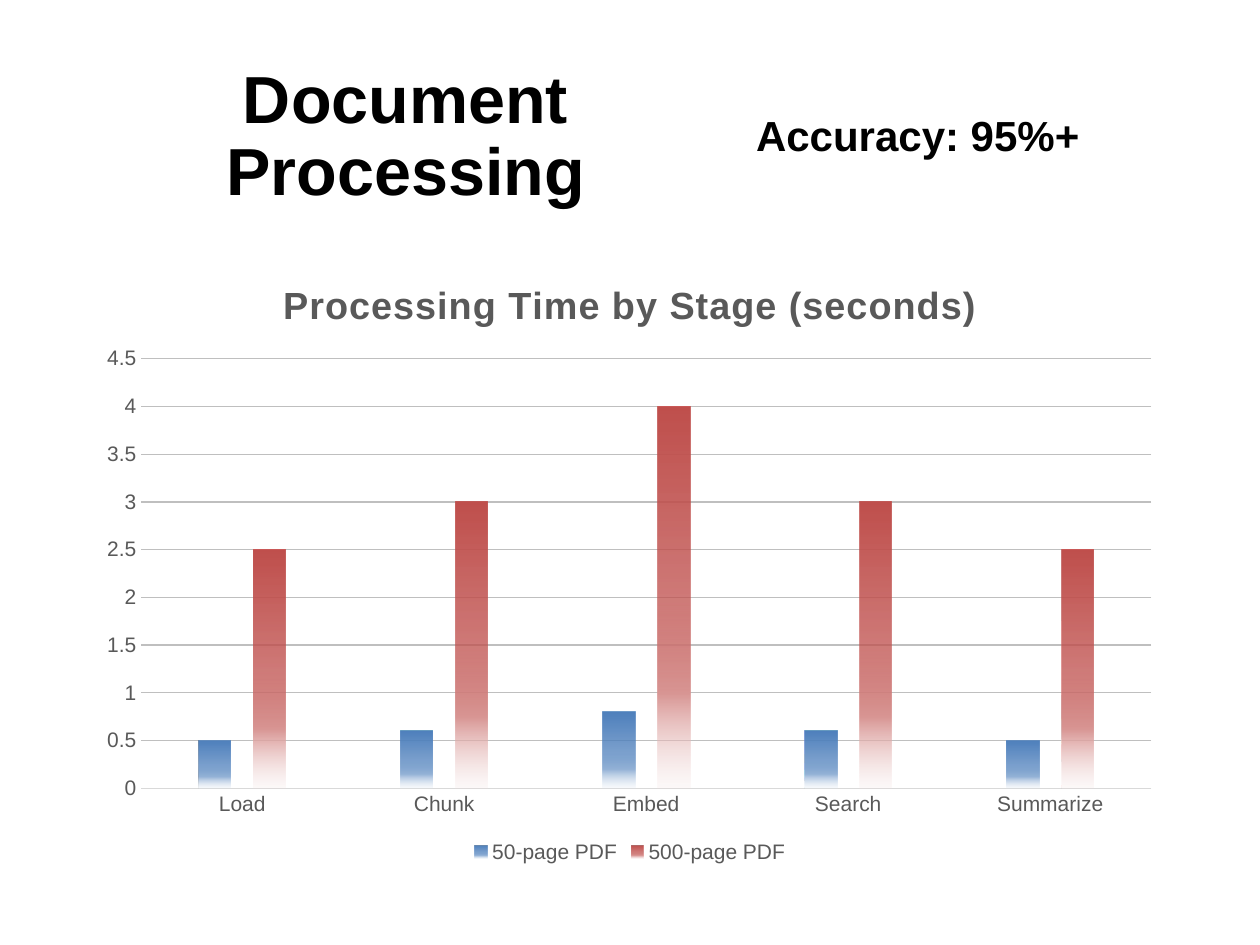
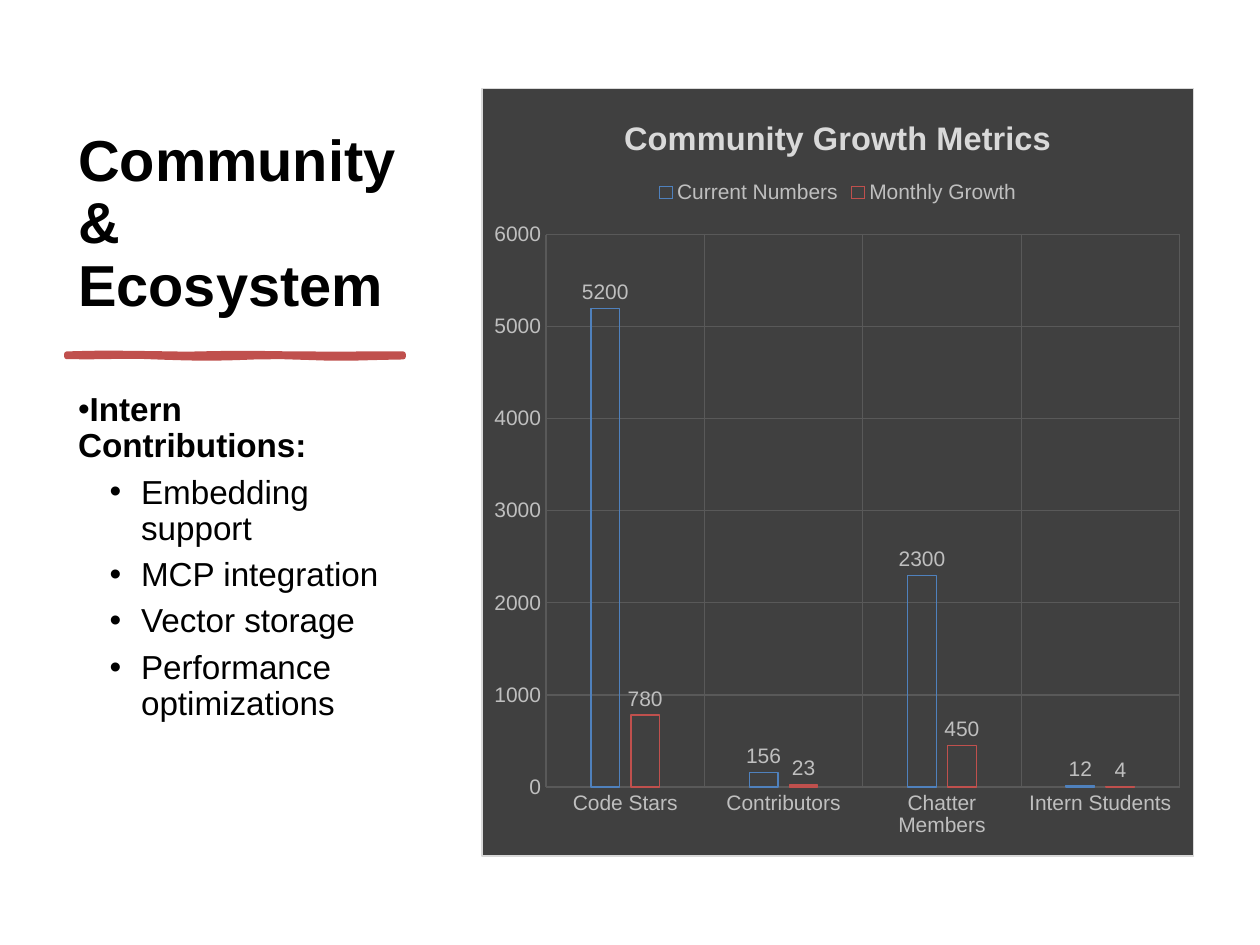
from lxml import etree
from pptx import Presentation
from pptx.chart.data import CategoryChartData
from pptx.dml.color import RGBColor
from pptx.enum.chart import XL_CHART_TYPE, XL_LABEL_POSITION, XL_LEGEND_POSITION, XL_TICK_MARK
from pptx.enum.text import MSO_ANCHOR, MSO_AUTO_SIZE, PP_ALIGN
from pptx.oxml import parse_xml
from pptx.oxml.ns import nsdecls, qn
from pptx.util import Pt

COLUMNS = XL_CHART_TYPE.COLUMN_CLUSTERED
OUTSIDE_END = XL_LABEL_POSITION.OUTSIDE_END
LEGEND_TOP, LEGEND_BOTTOM = XL_LEGEND_POSITION.TOP, XL_LEGEND_POSITION.BOTTOM
NO_TICK = XL_TICK_MARK.NONE
TOP, MIDDLE, BOTTOM = MSO_ANCHOR.TOP, MSO_ANCHOR.MIDDLE, MSO_ANCHOR.BOTTOM
LEFT, CENTER = PP_ALIGN.LEFT, PP_ALIGN.CENTER

PX = 9144  # 100 px to the inch
FONT = "Arial"
BLACK, WHITE, BLUE, RED = "000000", "FFFFFF", "4F81BD", "C0504D"
DARK, GREY, SILVER, PALE = "404040", "595959", "BFBFBF", "D9D9D9"


def rgb(color):
    return RGBColor.from_string(color)


def px(*lengths):
    return [n * PX for n in lengths]


def format_font(font, size, color=BLACK, bold=False):
    font.name, font.size, font.bold = FONT, Pt(size), bold
    font.color.rgb = rgb(color)


def write(tf, text, size, color=BLACK, bold=False, align=LEFT, after=0,
          bullet=None, margin=0, indent=0, level=0, first=True):
    """Put one formatted paragraph into a text frame."""
    p = tf.paragraphs[0] if first else tf.add_paragraph()
    p.level, p.alignment = level, align
    p.line_spacing, p.space_before, p.space_after = 0.9, Pt(0), Pt(after)
    pPr = p._p.get_or_add_pPr()
    pPr.set("marL", str(margin * PX))
    pPr.set("indent", str(indent * PX))
    if bullet:
        etree.SubElement(pPr, qn("a:buFont")).set("typeface", FONT)
        etree.SubElement(pPr, qn("a:buChar")).set("char", bullet)
    else:
        etree.SubElement(pPr, qn("a:buNone"))
    r = p.add_run()
    r.text = text
    format_font(r.font, size, color, bold)
    return r


def place(s, holder, box, anchor):
    """Move a placeholder to its box and return its text frame."""
    sp = s.placeholders[holder]
    sp.left, sp.top, sp.width, sp.height = px(*box)
    tf = sp.text_frame
    tf.word_wrap, tf.auto_size, tf.vertical_anchor = True, MSO_AUTO_SIZE.NONE, anchor
    return tf


def new_slide(prs):
    s = prs.slides.add_slide(prs.slide_layouts[1])
    s.background.fill.solid()
    s.background.fill.fore_color.rgb = rgb(WHITE)
    return s


def set_line(line, color):
    if color:
        line.color.rgb = rgb(color)
        line.width = Pt(0.75)
    else:
        line.fill.background()


def style_axis(axis, color, line=None, grid=None):
    axis.major_tick_mark = axis.minor_tick_mark = NO_TICK
    format_font(axis.tick_labels.font, 12, color)
    set_line(axis.format.line, line)
    axis.has_major_gridlines = bool(grid)
    if grid:
        set_line(axis.major_gridlines.format.line, grid)


def set_plot_box(chart, box):
    """Fix the inner plot area, as fractions of the chart."""
    area = chart.element.find(".//" + qn("c:plotArea"))
    for old in area.findall(qn("c:layout")):
        area.remove(old)
    sizes = "".join(f'<c:{k} val="{v}"/>' for k, v in zip("xywh", box))
    area.insert(0, parse_xml(
        f'<c:layout {nsdecls("c")}><c:manualLayout><c:layoutTarget val="inner"/>'
        f'<c:xMode val="edge"/><c:yMode val="edge"/>{sizes}</c:manualLayout></c:layout>'))


def column_chart(s, box, title, title_size, title_color, text_color, cats, series,
                 gap, overlap, top, step, legend, plot_box):
    """Add a clustered column chart with its title, legend and value scale."""
    data = CategoryChartData()
    data.categories = cats
    for name, values in series:
        data.add_series(name, values)
    chart = s.shapes.add_chart(COLUMNS, *px(*box), data).chart
    format_font(chart.font, 10)
    chart.has_title = True
    title_run = write(chart.chart_title.text_frame, title, title_size, title_color,
                      bold=True, align=CENTER)
    chart.has_legend = True
    chart.legend.position, chart.legend.include_in_layout = legend, False
    format_font(chart.legend.font, 12, text_color)
    plot = chart.plots[0]
    plot.gap_width, plot.overlap, plot.vary_by_categories = gap, overlap, False
    chart.value_axis.minimum_scale, chart.value_axis.maximum_scale = 0, top
    chart.value_axis.major_unit = step
    set_plot_box(chart, plot_box)
    return chart, title_run


def fade(series, color, light, pale):
    """Fill a series with a gradient that fades towards the axis."""
    stops = [(0, color, 100), (51, color, 75), (75, light, 100), (100, pale, 15)]
    gs = "".join(
        f'<a:gs pos="{pos * 1000}"><a:srgbClr val="{c}"><a:alpha val="{alpha * 1000}"/>'
        "</a:srgbClr></a:gs>" for pos, c, alpha in stops)
    series.format.fill.solid()
    solid = series.format.fill._xPr.find(qn("a:solidFill"))
    solid.getparent().replace(solid, parse_xml(
        f'<a:gradFill {nsdecls("a")}><a:gsLst>{gs}</a:gsLst>'
        '<a:lin ang="5400000" scaled="0"/></a:gradFill>'))


def chart_area(chart, fill, border):
    """Give the whole chart a fill and a border."""
    chart.element.find(qn("c:txPr")).addprevious(parse_xml(
        f'<c:spPr {nsdecls("c", "a")}><a:solidFill><a:srgbClr val="{fill}"/></a:solidFill>'
        f'<a:ln w="{Pt(0.75)}"><a:solidFill><a:srgbClr val="{border}"/></a:solidFill>'
        '</a:ln></c:spPr>'))


def brush_line(s, box, color):
    """Draw a wavy hand-made rule; the edges are offsets in thousandths of an inch."""
    left, top, width = box
    upper = [10, 5, 4, 6, 9, 12, 8, 5, 6, 9, 10, 12, 11, 9, 10]
    lower = [30, 31, 28, 27, 34, 40, 42, 38, 31, 30, 36, 42, 41, 36, 32]
    step = width * 10 / (len(upper) - 1)
    edge = [(left * 10 + i * step, top * 10 + y) for i, y in enumerate(upper)]
    edge += [(left * 10 + i * step, top * 10 + y) for i, y in enumerate(lower)][::-1]
    builder = s.shapes.build_freeform(*edge[0], scale=PX / 10)
    builder.add_line_segments(edge[1:], close=True)
    sp = builder.convert_to_shape()
    sp.shadow.inherit = False
    sp.fill.solid()
    sp.fill.fore_color.rgb = rgb(color)
    sp.line.color.rgb = rgb(color)
    sp.line.width = Pt(3)


def processing_slide(prs):
    s = new_slide(prs)
    # Heading and key figure
    write(place(s, 0, (69, 38, 506, 143), MIDDLE), "Document Processing", 38,
          bold=True, align=CENTER, after=6)
    write(place(s, 1, (590, 38, 341, 143), MIDDLE), "Accuracy: 95%+", 24, bold=True)
    # Time per stage
    chart, title_run = column_chart(
        s, (69, 202, 862, 487), "Processing Time by Stage (seconds)", 21.6, GREY, GREY,
        ["Load", "Chunk", "Embed", "Search", "Summarize"],
        [("50-page PDF", (0.5, 0.6, 0.8, 0.6, 0.5)), ("500-page PDF", (2.5, 3, 4, 3, 2.5))],
        gap=355, overlap=-70, top=4.5, step=0.5, legend=LEGEND_BOTTOM,
        plot_box=(0.05, 0.17, 0.93, 0.7))
    title_run.font._element.set("spc", "50")
    style_axis(chart.category_axis, GREY, line=PALE)
    style_axis(chart.value_axis, GREY, grid=SILVER)
    blue, red = chart.plots[0].series
    fade(blue, BLUE, "95B3D7", "DCE6F2")
    fade(red, RED, "D99694", "F2DCDB")


def community_slide(prs):
    s = new_slide(prs)
    # Heading with its rule
    write(place(s, 0, (52, 70, 281, 188), BOTTOM), "Community & Ecosystem", 33,
          bold=True, after=6)
    brush_line(s, (53, 280, 267), RED)
    # Contributions
    tf = place(s, 1, (52, 307, 281, 373), TOP)
    write(tf, "Intern Contributions:", 19, bold=True, after=6, bullet="•", indent=-25)
    for text in ("Embedding support", "MCP integration", "Vector storage",
                 "Performance optimizations"):
        write(tf, text, 19, after=6, bullet="•", margin=50, indent=-25, level=1, first=False)
    # Growth figures
    chart, _ = column_chart(
        s, (382, 70, 566, 610), "Community Growth Metrics", 18.6, PALE, SILVER,
        ["Code Stars", "Contributors", "Chatter Members", "Intern Students"],
        [("Current Numbers", (5200, 156, 2300, 12)), ("Monthly Growth", (780, 23, 450, 4))],
        gap=315, overlap=-40, top=6000, step=1000, legend=LEGEND_TOP,
        plot_box=(0.09, 0.19, 0.89, 0.72))
    chart_area(chart, DARK, PALE)
    for axis in (chart.category_axis, chart.value_axis):
        style_axis(axis, SILVER, grid=GREY)
    plot = chart.plots[0]
    plot.has_data_labels = True
    plot.data_labels.show_value, plot.data_labels.position = True, OUTSIDE_END
    format_font(plot.data_labels.font, 12, SILVER)
    for series, color in zip(plot.series, (BLUE, RED)):
        series.format.fill.background()
        set_line(series.format.line, color)


def main():
    prs = Presentation()
    prs.slide_width, prs.slide_height = px(1000, 750)
    processing_slide(prs)
    community_slide(prs)
    prs.save("out.pptx")


if __name__ == "__main__":
    main()
